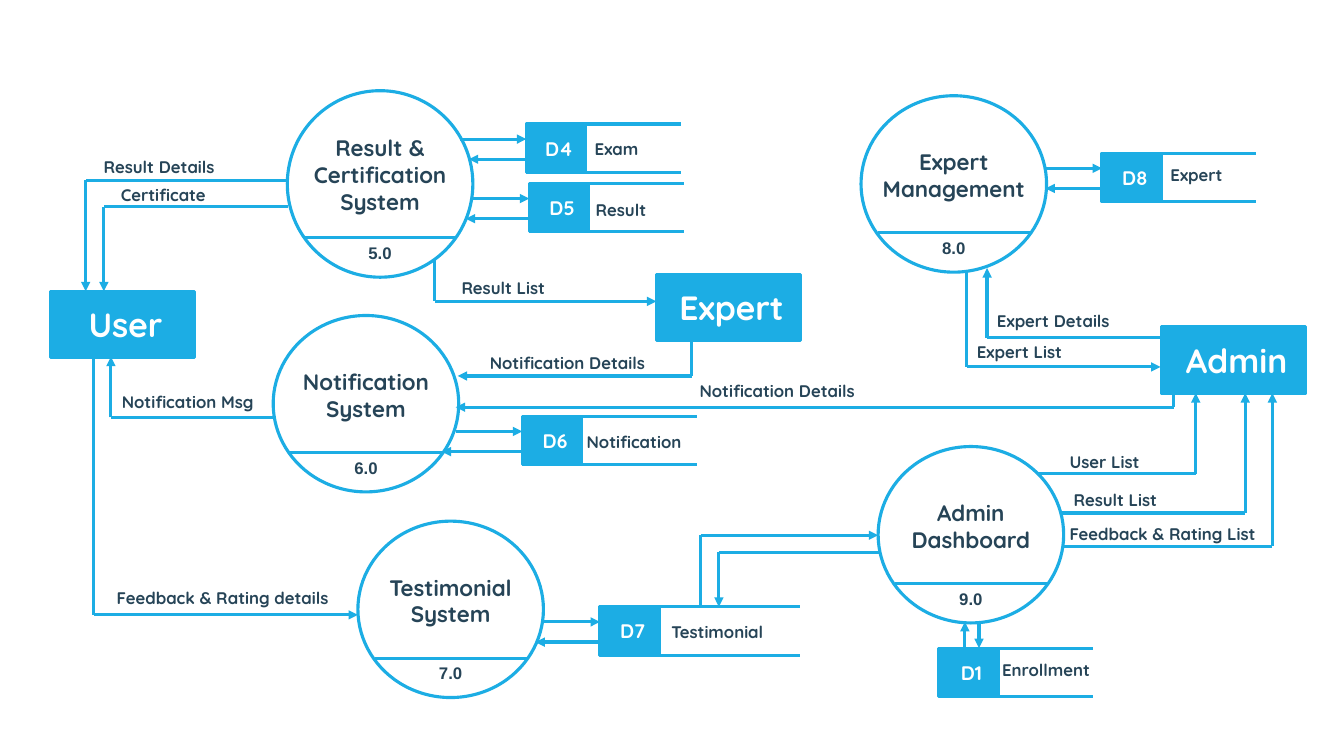
"""Build a data flow diagram of users, experts, admins, processes and data stores."""
from itertools import pairwise
from lxml import etree
from pptx import Presentation
from pptx.dml.color import RGBColor
from pptx.enum.shapes import MSO_CONNECTOR, MSO_SHAPE
from pptx.enum.text import MSO_ANCHOR, PP_ALIGN
from pptx.oxml.ns import qn
from pptx.util import Inches, Pt

STRAIGHT = MSO_CONNECTOR.STRAIGHT
RECTANGLE, OVAL = MSO_SHAPE.RECTANGLE, MSO_SHAPE.OVAL
LEFT, CENTER = PP_ALIGN.LEFT, PP_ALIGN.CENTER
TOP, MIDDLE = MSO_ANCHOR.TOP, MSO_ANCHOR.MIDDLE
BLUE, NAVY, WHITE = "1CADE4", "264457", "FFFFFF"

ENTITY_SIZE = (1.43, 0.66)
STORE_SIZE = (0.59, 0.48)
PROCESS_WIDTH = 1.84
LABEL_HEIGHT = 0.3

ENTITIES = [("User", 0.5, 2.89), ("Expert", 6.51, 2.72), ("Admin", 11.52, 3.24)]

PROCESSES = [
    ("Result & Certification System", "5.0", 2.85, 0.9, 1.85),
    ("Notification System", "6.0", 2.71, 3.13, 1.75),
    ("Testimonial System", "7.0", 3.55, 5.17, 1.75),
    ("Expert Management", "8.0", 8.54, 0.95, 1.75),
    ("Admin Dashboard", "9.0", 8.71, 4.43, 1.75),
]

# code, name, left, top, rule length, label offset, process edges (write, read)
STORES = [
    ("D4", "Exam", 5.22, 1.23, 1.53, (0.58, 0.1), (4.56, 4.65)),
    ("D5", "Result", 5.25, 1.82, 1.53, (0.56, 0.11), (4.68, 4.62)),
    ("D6", "Notification", 5.18, 4.13, 1.73, (0.54, 0.1), (4.52, 4.38)),
    ("D7", "Testimonial", 5.95, 6.02, 1.98, (0.61, 0.1), (5.38, 5.31)),
    ("D8", "Expert", 10.93, 1.52, 1.53, (0.58, 0.07), (10.36, 10.37)),
    ("D1", "Enrollment", 9.31, 6.43, 1.53, (0.53, 0.07), None),
]

FLOWS = [
    ("Result Details", (0.93, 1.51), [(2.85, 1.79), (0.85, 1.79), (0.85, 2.89)]),
    ("Certificate", (1.1, 1.78), [(2.86, 2.05), (1.03, 2.05), (1.03, 2.89)]),
    ("Result List", (4.48, 2.71), [(4.31, 2.57), (4.31, 2.99), (6.51, 2.99)]),
    ("Notification Details", (4.76, 3.45), [(6.86, 3.37), (6.86, 3.73), (4.54, 3.73)]),
    ("Notification Msg", (1.11, 3.84), [(2.72, 4.14), (1.1, 4.14), (1.1, 3.54)]),
    ("Feedback & Rating details", (1.06, 5.78), [(0.93, 3.55), (0.93, 6.1), (3.55, 6.1)]),
    ("Expert Details", (9.79, 3.03), [(11.53, 3.35), (9.79, 3.35), (9.79, 2.66)]),
    ("Expert List", (9.59, 3.34), [(9.59, 2.7), (9.59, 3.64), (11.51, 3.64)]),
    ("Notification Details", (6.84, 3.73), [(11.64, 3.9), (11.64, 4.04), (4.52, 4.04)]),
    ("User List", (10.51, 4.43), [(10.29, 4.7), (11.86, 4.7), (11.86, 3.9)]),
    ("Result List", (10.55, 4.81), [(10.52, 5.09), (12.35, 5.09), (12.35, 3.9)]),
    ("Feedback & Rating List", (10.51, 5.15), [(10.55, 5.42), (12.62, 5.42), (12.62, 3.9)]),
    (None, None, [(6.95, 6.02), (6.95, 5.31), (8.71, 5.31)]),
    (None, None, [(8.72, 5.48), (7.13, 5.48), (7.13, 6.02)]),
    (None, None, [(9.57, 6.43), (9.57, 6.17)]),
    (None, None, [(9.71, 6.17), (9.71, 6.43)]),
]


def color(value):
    return RGBColor.from_string(value)


def write(shape, text, size=12, font="Quicksand", fill=NAVY, align=LEFT,
          anchor=TOP, indent=0.1):
    frame = shape.text_frame
    frame.word_wrap = True
    frame.vertical_anchor = anchor
    frame.margin_left = Inches(indent)
    paragraph = frame.paragraphs[0]
    paragraph.alignment = align
    run = paragraph.add_run()
    run.text = text
    run.font.name, run.font.size, run.font.bold = font, Pt(size), True
    run.font.color.rgb = color(fill)


def add_label(text, left, top, width=2.5, height=LABEL_HEIGHT, **style):
    box = slide.shapes.add_textbox(*map(Inches, (left, top, width, height)))
    write(box, text, **style)


def add_outline(kind, left, top, width, height):
    shape = slide.shapes.add_shape(kind, *map(Inches, (left, top, width, height)))
    shape.shadow.inherit = False
    shape.fill.background()
    shape.line.color.rgb = color(BLUE)
    shape.line.width = Pt(2.25)
    return shape


def add_block(text, left, top, size, text_size):
    shape = add_outline(RECTANGLE, left, top, *size)
    shape.fill.solid()
    shape.fill.fore_color.rgb = color(BLUE)
    write(shape, text, size=text_size, fill=WHITE, align=CENTER, anchor=MIDDLE, indent=0.16)


def add_line(start, end, arrow=False):
    line = slide.shapes.add_connector(STRAIGHT, *map(Inches, (*start, *end)))
    line.line.color.rgb = color(BLUE)
    line.line.width = Pt(2.25)
    if arrow:
        etree.SubElement(line.line._get_or_add_ln(), qn("a:tailEnd"), type="triangle")
    etree.SubElement(line._element.spPr, qn("a:effectLst"))


def add_flow(points):
    for start, end in pairwise(points):
        add_line(start, end, arrow=end is points[-1])


def add_process(name, number, left, top, height):
    add_outline(OVAL, left, top, PROCESS_WIDTH, height)
    add_label(name, left, top, PROCESS_WIDTH, 0.9 * height,
              size=16, align=CENTER, anchor=MIDDLE)
    divider = top + height - 0.39
    add_line((left + 0.17, divider), (left + PROCESS_WIDTH - 0.16, divider))
    add_label(number, left, divider, PROCESS_WIDTH, font="Arial", align=CENTER)


def add_store(code, name, left, top, length, offset, edges):
    for rule in (top, top + STORE_SIZE[1]):
        add_line((left, rule), (left + length, rule))
    add_block(code, left, top, STORE_SIZE, 14)
    add_label(name, left + offset[0], top + offset[1], 1.45)
    if edges:
        write_edge, read_edge = edges
        add_flow([(write_edge, top + 0.15), (left, top + 0.15)])
        add_flow([(left, top + 0.35), (read_edge, top + 0.35)])


presentation = Presentation()
presentation.slide_width, presentation.slide_height = Inches(13.33), Inches(7.5)
slide = presentation.slides.add_slide(presentation.slide_layouts[6])

for name, left, top in ENTITIES:
    add_block(name, left, top, ENTITY_SIZE, 24)
for process in PROCESSES:
    add_process(*process)
for store in STORES:
    add_store(*store)
for label, position, points in FLOWS:
    add_flow(points)
    if label:
        add_label(label, *position)

presentation.save("out.pptx")
